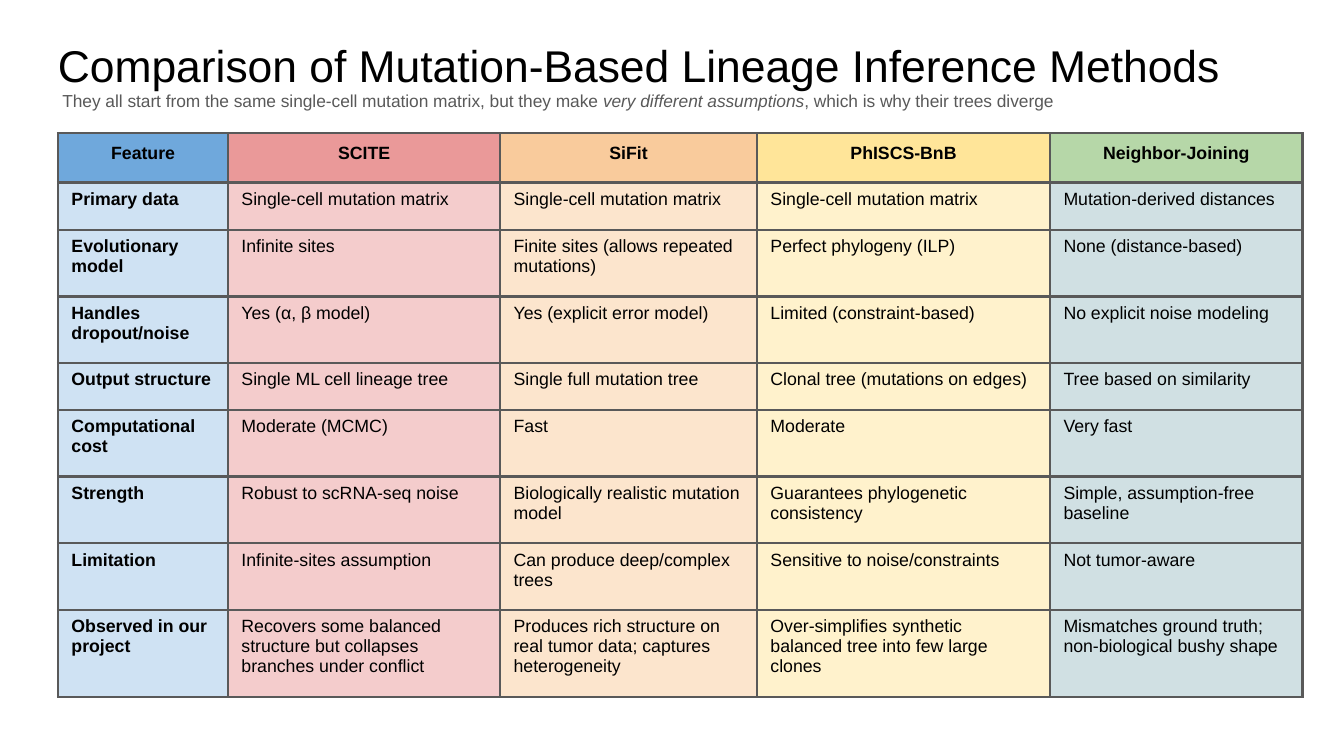
from dataclasses import dataclass

import pptx
import pptx.dml.color
import pptx.enum.text
import pptx.oxml
import pptx.oxml.ns
import pptx.util
from pptx.enum.text import PP_ALIGN

Pt = pptx.util.Pt

COLORS = {"text": "000000", "subtitle": "595959", "border": "595959"}
FONT = "Arial"
CELL_SIZE = 9.5
BORDER_WIDTH = 1.47


@dataclass(frozen=True)
class Column:
    heading: str
    width: float
    header_fill: str
    body_fill: str
    bold: bool = False


@dataclass(frozen=True)
class Feature:
    height: float
    entries: tuple[str, ...]


COLUMNS = (
    Column("Feature", 91.1, "6FA8DC", "CFE2F3", bold=True),
    Column("SCITE", 145.8, "EA9999", "F4CCCC"),
    Column("SiFit", 137.6, "F9CB9C", "FCE5CD"),
    Column("PhISCS-BnB", 157, "FFE599", "FFF2CC"),
    Column("Neighbor-Joining", 135.3, "B6D7A8", "D0E0E3"),
)

HEADER_HEIGHT = 26.5
ONE_LINE = 25.2
TWO_LINES = 35.7
THREE_LINES = 46.6

FEATURES = (
    Feature(ONE_LINE, ("Primary data", "Single-cell mutation matrix", "Single-cell mutation matrix",
                       "Single-cell mutation matrix", "Mutation-derived distances")),
    Feature(TWO_LINES, ("Evolutionary model", "Infinite sites", "Finite sites (allows repeated mutations)",
                        "Perfect phylogeny (ILP)", "None (distance-based)")),
    Feature(TWO_LINES, ("Handles dropout/noise", "Yes (α, β model)", "Yes (explicit error model)",
                        "Limited (constraint-based)", "No explicit noise modeling")),
    Feature(ONE_LINE, ("Output structure", "Single ML cell lineage tree", "Single full mutation tree",
                       "Clonal tree (mutations on edges)", "Tree based on similarity")),
    Feature(TWO_LINES, ("Computational cost", "Moderate (MCMC)", "Fast", "Moderate", "Very fast")),
    Feature(TWO_LINES, ("Strength", "Robust to scRNA-seq noise", "Biologically realistic mutation model",
                        "Guarantees phylogenetic consistency", "Simple, assumption-free baseline")),
    Feature(TWO_LINES, ("Limitation", "Infinite-sites assumption", "Can produce deep/complex trees",
                        "Sensitive to noise/constraints", "Not tumor-aware")),
    Feature(THREE_LINES, ("Observed in our project",
                          "Recovers some balanced structure but collapses branches under conflict",
                          "Produces rich structure on real tumor data; captures heterogeneity",
                          "Over-simplifies synthetic balanced tree into few large clones",
                          "Mismatches ground truth; non-biological bushy shape")),
)


def rgb(color: str) -> pptx.dml.color.RGBColor:
    return pptx.dml.color.RGBColor.from_string(color)


def add_title_run(paragraph, text: str, size: float, color: str, italic: bool = False) -> None:
    run = paragraph.add_run()
    run.text = text
    run.font.size = Pt(size)
    run.font.color.rgb = rgb(color)
    run.font.italic = italic


def write_title(title) -> None:
    title.left, title.top, title.width, title.height = Pt(23.8), Pt(16.6), Pt(690.5), Pt(67.7)
    frame = title.text_frame
    frame.word_wrap = True
    frame.auto_size = pptx.enum.text.MSO_AUTO_SIZE.NONE
    frame.vertical_anchor = pptx.enum.text.MSO_ANCHOR.TOP
    frame.margin_left = frame.margin_right = frame.margin_top = frame.margin_bottom = Pt(7.2)
    heading = frame.paragraphs[0]
    heading.alignment = PP_ALIGN.LEFT
    heading.line_spacing = 0.9
    heading.font.name = FONT
    add_title_run(heading, "Comparison of Mutation-Based Lineage Inference Methods", 23.8, COLORS["text"])
    heading.add_line_break()
    for text, italic in (
        (" They all start from the same single-cell mutation matrix, but they make ", False),
        ("very different assumptions", True),
        (", which is why their trees diverge", False),
    ):
        add_title_run(heading, text, 9.3, COLORS["subtitle"], italic)


def add_borders(cell) -> None:
    properties = cell._tc.get_or_add_tcPr()
    for index, side in enumerate(("lnL", "lnR", "lnT", "lnB")):
        border = pptx.oxml.parse_xml(
            f'<a:{side} {pptx.oxml.ns.nsdecls("a")} w="{Pt(BORDER_WIDTH)}">'
            f'<a:solidFill><a:srgbClr val="{COLORS["border"]}"/></a:solidFill></a:{side}>'
        )
        properties.insert(index, border)


def write_cell(cell, text: str, fill: str, bold: bool, alignment: PP_ALIGN, spacing: float) -> None:
    cell.fill.solid()
    cell.fill.fore_color.rgb = rgb(fill)
    add_borders(cell)
    cell.text = text
    paragraph = cell.text_frame.paragraphs[0]
    paragraph.alignment = alignment
    paragraph.line_spacing = spacing
    paragraph.font.name = FONT
    paragraph.font.size = Pt(CELL_SIZE)
    paragraph.font.bold = bold
    paragraph.font.color.rgb = rgb(COLORS["text"])


def add_comparison(slide) -> None:
    heights = [HEADER_HEIGHT] + [feature.height for feature in FEATURES]
    widths = [column.width for column in COLUMNS]
    comparison = slide.shapes.add_table(
        len(heights), len(widths), Pt(31.1), Pt(71.4), Pt(sum(widths)), Pt(sum(heights))
    ).table
    comparison.first_row = False
    comparison.horz_banding = False
    for row, height in zip(comparison.rows, heights):
        row.height = Pt(height)
    for position, column in enumerate(COLUMNS):
        comparison.columns[position].width = Pt(column.width)
        write_cell(comparison.cell(0, position), column.heading, column.header_fill,
                   True, PP_ALIGN.CENTER, 1.15)
        for row_number, feature in enumerate(FEATURES, start=1):
            write_cell(comparison.cell(row_number, position), feature.entries[position],
                       column.body_fill, column.bold, PP_ALIGN.LEFT, 1.0)


def main() -> None:
    presentation = pptx.Presentation()
    presentation.slide_width = Pt(720)
    presentation.slide_height = Pt(405)
    slide = presentation.slides.add_slide(presentation.slide_layouts[5])
    write_title(slide.shapes.title)
    add_comparison(slide)
    presentation.save("out.pptx")


if __name__ == "__main__":
    main()
